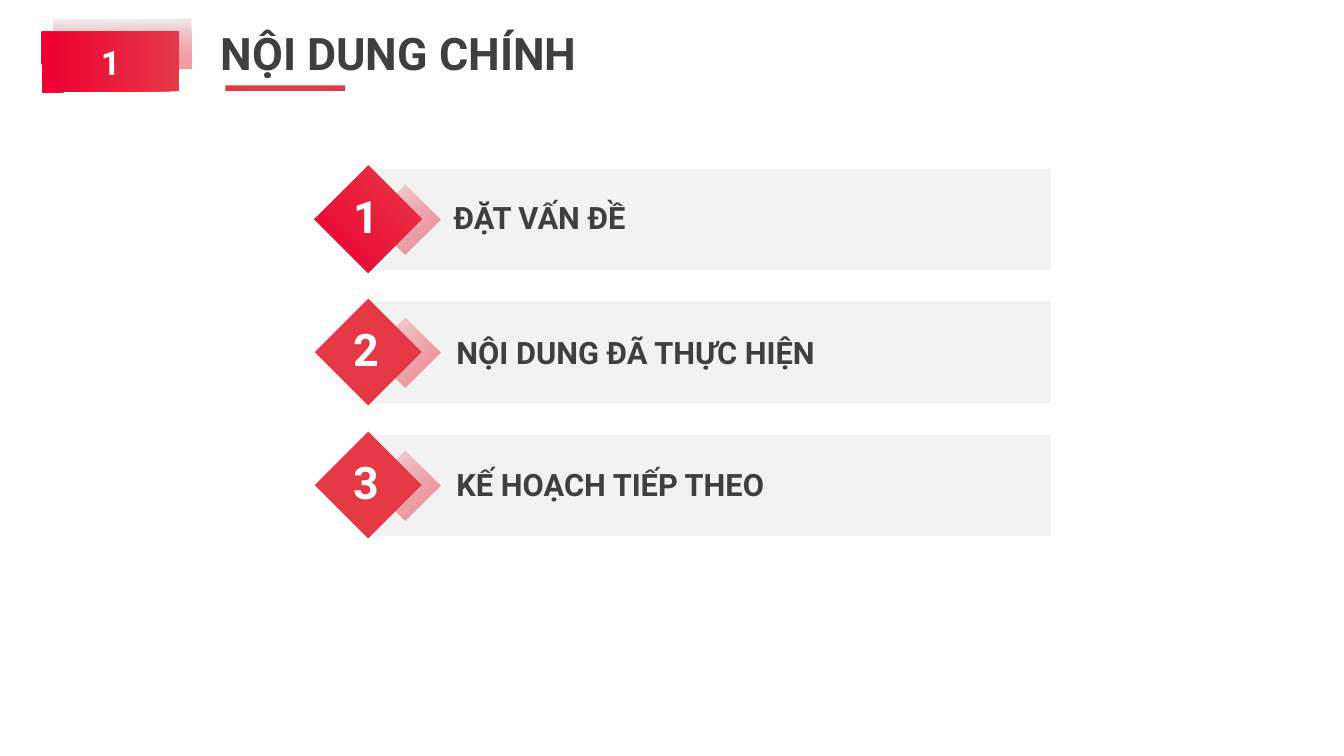
import pptx
import pptx.dml.color
import pptx.enum.shapes
import pptx.enum.text
import pptx.util
from dataclasses import dataclass
from lxml import etree

EMU_PER_PX = 9525  # 1920 x 1080 px gives 20 x 11.25 in
ALIGN = pptx.enum.text.PP_ALIGN
ANCHOR = pptx.enum.text.MSO_ANCHOR


@dataclass(frozen=True)
class Theme:
    font: str = "Roboto"
    ink: str = "3F3F3F"
    white: str = "FFFFFF"
    panel: str = "F2F2F2"
    red: str = "E63946"
    bright_red: str = "EE0033"
    heading_size: int = 48
    badge_size: int = 36
    label_size: int = 33
    line_ratio: float = 1.2


THEME = Theme()

# Agenda rows: number, label, label left, label offset from the card top
ROW_TOP, ROW_PITCH = 241, 190
AGENDA = [
    ("1", "ĐẶT VẤN ĐỀ", 648, 43),
    ("2", "NỘI DUNG ĐÃ THỰC HIỆN", 652, 46),
    ("3", "KẾ HOẠCH TIẾP THEO", 652, 45),
]


def px(length):
    return pptx.util.Emu(length * EMU_PER_PX)


def rgb(value):
    return pptx.dml.color.RGBColor.from_string(value)


def fill_gradient(shape, start, end, angle, opacity=100):
    """Two-stop gradient; angle is counterclockwise in the shape's own frame."""
    shape.fill.gradient()
    shape.fill.gradient_angle = angle
    stops = shape.fill.gradient_stops
    for stop, color, position in zip(stops, (start, end), (0, 1)):
        stop.color.rgb = rgb(color)
        stop.position = position
    if opacity < 100:
        ns = pptx.oxml.ns.qn
        first = shape.fill._xPr.find(".//" + ns("a:srgbClr"))
        etree.SubElement(first, ns("a:alpha")).set("val", str(opacity * 1000))


def add_block(slide, left, top, width, height, color=None, rotation=0):
    block = slide.shapes.add_shape(
        pptx.enum.shapes.MSO_SHAPE.RECTANGLE,
        px(left), px(top), px(width), px(height))
    block.shadow.inherit = False
    block.line.fill.background()
    block.rotation = rotation
    if color:
        block.fill.solid()
        block.fill.fore_color.rgb = rgb(color)
    return block


def write_text(holder, text, size, color, align=ALIGN.LEFT,
               anchor=ANCHOR.TOP, inset=0):
    frame = holder.text_frame
    frame.word_wrap = True
    frame.vertical_anchor = anchor
    frame.margin_left = frame.margin_right = px(inset)
    frame.margin_top = frame.margin_bottom = px(inset)
    frame.text = text
    line = frame.paragraphs[0]
    line.alignment = align
    line.line_spacing = pptx.util.Pt(size * THEME.line_ratio)
    line.space_before = pptx.util.Pt(0)
    line.font.name = THEME.font
    line.font.size = pptx.util.Pt(size)
    line.font.bold = True
    line.font.color.rgb = rgb(color)


def add_label(slide, left, top, width, height, text, size, color,
              align=ALIGN.LEFT):
    label = slide.shapes.add_textbox(px(left), px(top), px(width), px(height))
    write_text(label, text, size, color, align)


def add_heading(slide, text):
    heading = slide.shapes.title
    heading.left, heading.top = px(315), px(36)
    heading.width, heading.height = px(1244), px(82)
    write_text(heading, text, THEME.heading_size, THEME.ink)
    add_block(slide, 322, 122, 171, 8, THEME.red)


def add_section_badge(slide, number):
    backdrop = add_block(slide, 140, -36, 71, 197, rotation=269.6)
    fill_gradient(backdrop, THEME.red, THEME.panel, 0, opacity=50)
    badge = add_block(slide, 60, 45, 196, 86, rotation=359.6)
    fill_gradient(badge, THEME.red, THEME.bright_red, 180)
    write_text(badge, number, THEME.badge_size, THEME.white,
               ALIGN.CENTER, ANCHOR.MIDDLE, inset=6)


def add_agenda_row(slide, top, number, text, label_left, label_offset,
                   highlighted):
    # Card with a pale diamond behind the numbered one
    add_block(slide, 523, top, 978, 145, THEME.panel)
    echo = add_block(slide, 543, top + 37, 71, 71, rotation=315)
    fill_gradient(echo, THEME.red, THEME.panel, 90, opacity=50)
    diamond = add_block(slide, 472, top + 18, 108, 108, THEME.red, rotation=45)
    if highlighted:
        fill_gradient(diamond, THEME.red, THEME.bright_red, 270)

    # Number and label
    add_label(slide, 498, top + 29, 51, 82, number,
              THEME.heading_size, THEME.white, ALIGN.CENTER)
    add_label(slide, label_left, top + label_offset, 796, 52, text,
              THEME.label_size, THEME.ink)


def main():
    deck = pptx.Presentation()
    deck.slide_width, deck.slide_height = px(1920), px(1080)
    title_only = deck.slide_layouts[5]
    slide = deck.slides.add_slide(title_only)

    add_heading(slide, "NỘI DUNG CHÍNH")
    add_section_badge(slide, "1")
    for index, row in enumerate(AGENDA):
        add_agenda_row(slide, ROW_TOP + index * ROW_PITCH, *row,
                       highlighted=index == 0)

    deck.save("out.pptx")


if __name__ == "__main__":
    main()
